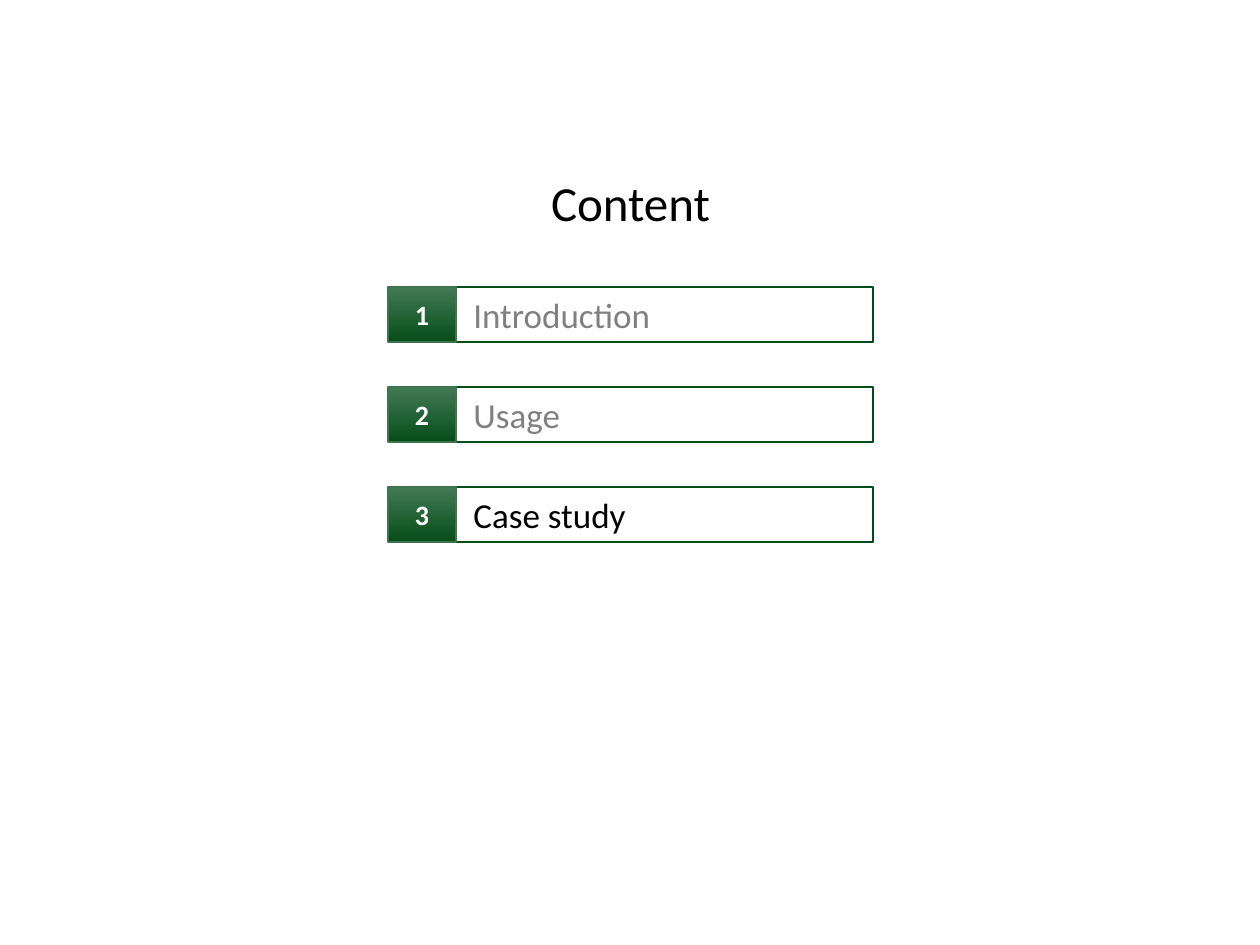
from pptx import Presentation
from pptx.dml.color import RGBColor
from pptx.enum.shapes import MSO_SHAPE
from pptx.enum.text import MSO_ANCHOR, PP_ALIGN
from pptx.util import Emu, Pt

RECTANGLE = MSO_SHAPE.RECTANGLE
TOP, MIDDLE = MSO_ANCHOR.TOP, MSO_ANCHOR.MIDDLE
LEFT, CENTER = PP_ALIGN.LEFT, PP_ALIGN.CENTER
BLACK = RGBColor(0x00, 0x00, 0x00)
WHITE = RGBColor(0xFF, 0xFF, 0xFF)
GREY = RGBColor(0x80, 0x80, 0x80)
FRAME_GREEN = RGBColor(0x00, 0x4E, 0x18)
BADGE_LINE = RGBColor(0x3D, 0x75, 0x4F)
BADGE_TOP = RGBColor(0x42, 0x79, 0x54)
BADGE_BOTTOM = RGBColor(0x06, 0x4E, 0x19)

PAGE_WIDTH, PAGE_HEIGHT = 1260, 945
LIST_LEFT, LIST_TOP, LIST_WIDTH = 388, 287, 485
ROW_HEIGHT, ROW_PITCH, BADGE_WIDTH = 55, 100, 68
TOPICS = [("Introduction", GREY), ("Usage", GREY), ("Case study", BLACK)]


def px(length):
    return Emu(round(length * 914400 / 126))


class ContentPage:
    """Draws the elements of a table of contents on one slide."""

    font_name = "Calibri"

    def __init__(self, page):
        self.page = page

    def set_text(self, box, text, size, color, align=CENTER, anchor=MIDDLE, bold=False):
        frame = box.text_frame
        frame.word_wrap = True
        frame.vertical_anchor = anchor
        para = frame.paragraphs[0]
        para.text = text
        para.alignment = align
        para.font.name = self.font_name
        para.font.size = Pt(size)
        para.font.bold = bold
        para.font.color.rgb = color
        return para

    def title(self, text, left, top, width, height):
        box = self.page.shapes.add_textbox(px(left), px(top), px(width), px(height))
        self.set_text(box, text, 28, BLACK)

    def rectangle(self, group, left, top, width, line_color):
        box = group.shapes.add_shape(RECTANGLE, px(left), px(top), px(width), px(ROW_HEIGHT))
        box.shadow.inherit = False
        box.line.color.rgb = line_color
        box.line.width = Pt(1)
        return box

    def label(self, group, text, color, left, top, width):
        box = self.rectangle(group, left, top, width, FRAME_GREEN)
        box.fill.background()
        para = self.set_text(box, text, 20, color, LEFT, TOP)
        para._p.get_or_add_pPr().set("marL", str(px(5)))

    def badge(self, group, number, left, top):
        box = self.rectangle(group, left, top, BADGE_WIDTH, BADGE_LINE)
        box.fill.gradient()
        box.fill.gradient_angle = 270
        for stop, color in zip(box.fill.gradient_stops, (BADGE_TOP, BADGE_BOTTOM)):
            stop.color.rgb = color
        self.set_text(box, str(number), 16, WHITE, bold=True)

    def row(self, number, text, color, top):
        group = self.page.shapes.add_group_shape()
        self.label(group, text, color, LIST_LEFT + BADGE_WIDTH, top, LIST_WIDTH - BADGE_WIDTH)
        self.badge(group, number, LIST_LEFT, top)


def main():
    deck = Presentation()
    deck.slide_width, deck.slide_height = px(PAGE_WIDTH), px(PAGE_HEIGHT)
    content = ContentPage(deck.slides.add_slide(deck.slide_layouts[6]))
    content.title("Content", LIST_LEFT, 166, LIST_WIDTH, 72)
    for index, (text, color) in enumerate(TOPICS):
        content.row(index + 1, text, color, LIST_TOP + index * ROW_PITCH)
    deck.save("out.pptx")


if __name__ == "__main__":
    main()
